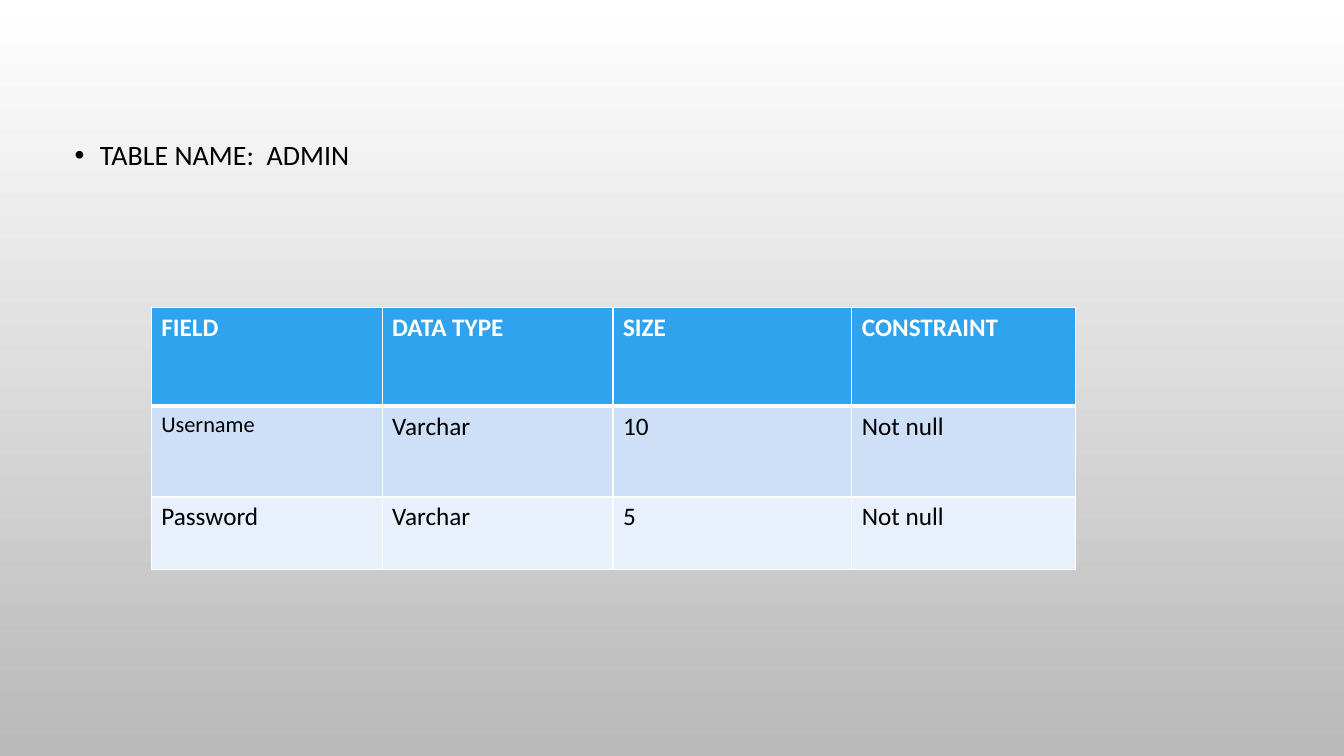
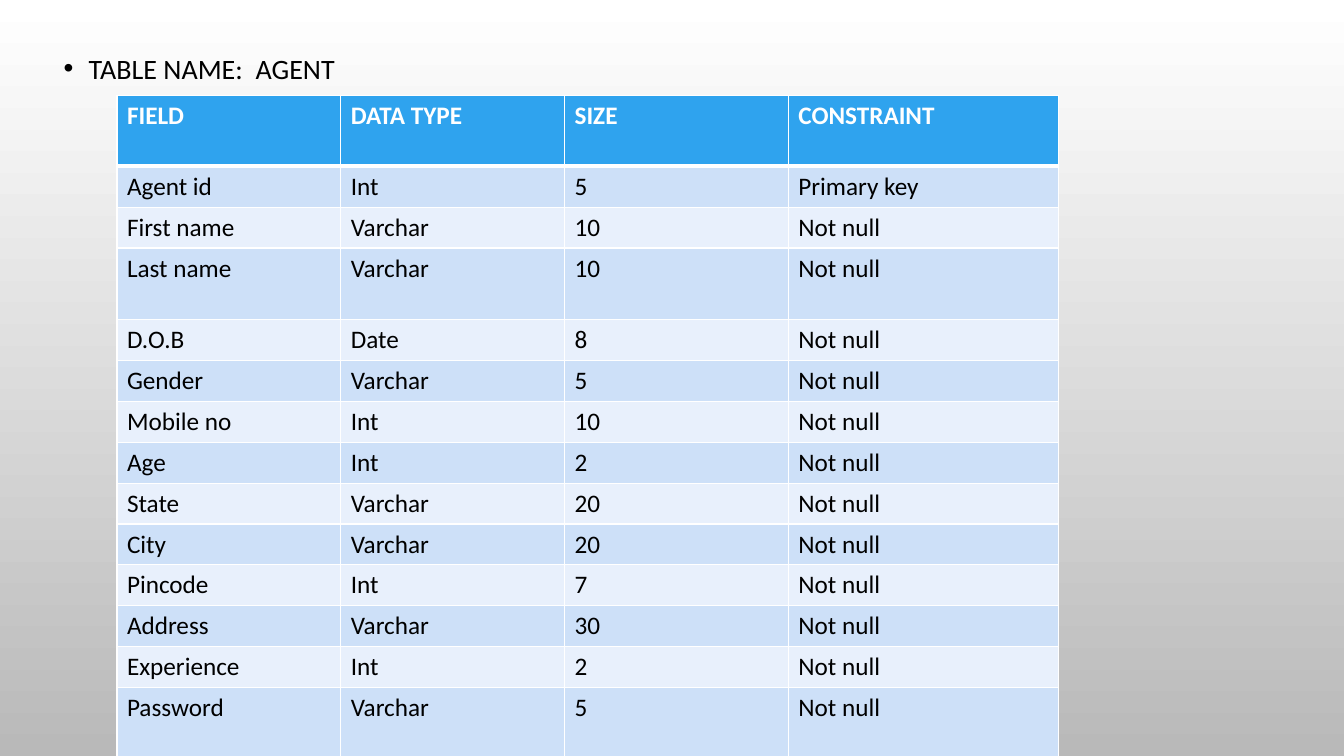
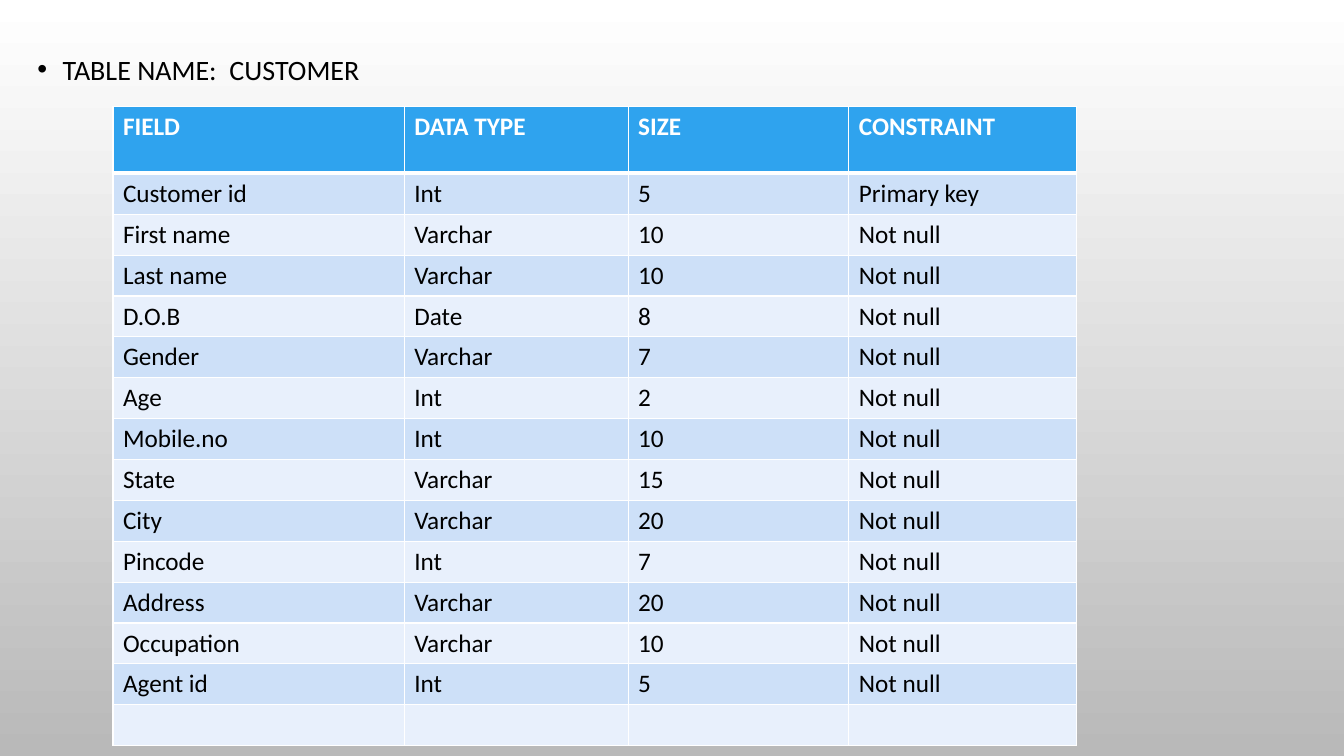
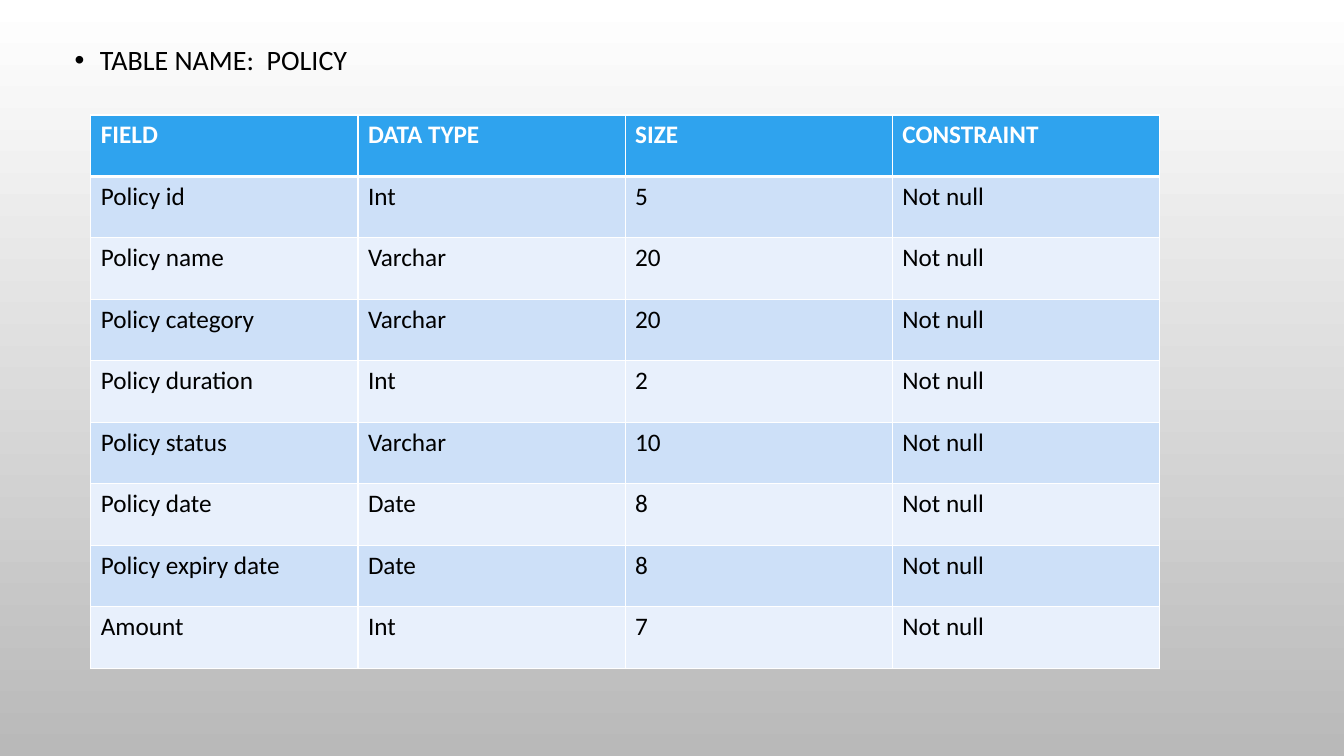
"""Build the slides that describe the database tables of an insurance system."""
from dataclasses import dataclass

from lxml.etree import SubElement
from pptx import Presentation
from pptx.dml.color import RGBColor
from pptx.enum.text import MSO_ANCHOR, MSO_AUTO_SIZE, PP_ALIGN
from pptx.oxml.ns import qn
from pptx.presentation import Presentation as Deck
from pptx.slide import Slide
from pptx.table import _Cell
from pptx.text.text import _Paragraph
from pptx.util import Inches, Pt


@dataclass(frozen=True)
class Theme:
    """Colours, font and sizes shared by all slides."""

    font: str = "Calibri"
    ink: str = "000000"
    white: str = "FFFFFF"
    back_end: str = "B9B9B9"
    header: str = "2FA3EE"
    bands: tuple[str, str] = ("CDE0F8", "E8F0FC")
    title_pt: int = 20
    cell_pt: int = 18
    small_pt: int = 16
    thin_pt: int = 1
    thick_pt: int = 3


THEME = Theme()
HEADINGS = ("FIELD", "DATA TYPE", "SIZE", "CONSTRAINT")
ROW_HEIGHT = 0.4


@dataclass(frozen=True)
class Field:
    """One row of a table description."""

    name: str
    kind: str
    size: str
    constraint: str = "Not null"
    height: float = ROW_HEIGHT
    name_pt: int = THEME.cell_pt

    @property
    def texts(self) -> tuple[str, ...]:
        """Return the cell texts from left to right."""
        return self.name, self.kind, self.size, self.constraint


@dataclass(frozen=True)
class TableSlide:
    """A heading and the table below it, with places in inches."""

    name: str
    title_at: tuple[float, float]
    table_at: tuple[float, float]
    columns: tuple[float, ...]
    header_height: float
    fields: tuple[Field, ...]


SLIDES = (
    TableSlide("ADMIN", (0.64, 1.25), (1.5, 3.05), (2.29, 2.29, 2.37, 2.22), 0.98, (
        Field("Username", "Varchar", "10", height=0.9, name_pt=THEME.small_pt),
        Field("Password", "Varchar", "5", height=0.72),
    )),
    TableSlide("AGENT", (0.53, 0.39), (1.16, 0.95), (2.22, 2.22, 2.22, 2.68), 0.7, (
        Field("Agent id", "Int", "5", "Primary key"),
        Field("First name", "Varchar", "10"),
        Field("Last name", "Varchar", "10", height=0.71),
        Field("D.O.B", "Date", "8"),
        Field("Gender", "Varchar", "5"),
        Field("Mobile no", "Int", "10"),
        Field("Age", "Int", "2"),
        Field("State", "Varchar", "20"),
        Field("City", "Varchar", "20"),
        Field("Pincode", "Int", "7"),
        Field("Address", "Varchar", "30"),
        Field("Experience", "Int", "2"),
        Field("Password", "Varchar", "5", height=0.69),
    )),
    TableSlide("CUSTOMER", (0.27, 0.4), (1.12, 1.06), (2.89, 2.22, 2.19, 2.26), 0.66, (
        Field("Customer id", "Int", "5", "Primary key"),
        Field("First name", "Varchar", "10"),
        Field("Last name", "Varchar", "10"),
        Field("D.O.B", "Date", "8"),
        Field("Gender", "Varchar", "7"),
        Field("Age", "Int", "2"),
        Field("Mobile.no", "Int", "10"),
        Field("State", "Varchar", "15"),
        Field("City", "Varchar", "20"),
        Field("Pincode", "Int", "7"),
        Field("Address", "Varchar", "20"),
        Field("Occupation", "Varchar", "10"),
        Field("Agent id", "Int", "5"),
        Field("", "", "", ""),
    )),
    TableSlide("POLICY", (0.64, 0.31), (0.9, 1.14), (2.65,) * 4, 0.61, (
        Field("Policy id", "Int", "5", height=0.61),
        Field("Policy name", "Varchar", "20", height=0.61),
        Field("Policy category", "Varchar", "20", height=0.61),
        Field("Policy duration", "Int", "2", height=0.61),
        Field("Policy status", "Varchar", "10", height=0.61),
        Field("Policy date", "Date", "8", height=0.61),
        Field("Policy expiry date", "Date", "8", height=0.61),
        Field("Amount", "Int", "7", height=0.61),
    )),
)


def rgb(code: str) -> RGBColor:
    """Turn a hex code into a colour."""
    return RGBColor.from_string(code)


def add_run(p: _Paragraph, text: str, size: int, color: str, bold: bool = False) -> None:
    """Append one formatted run to a paragraph."""
    r = p.add_run()
    r.text = text
    r.font.name = THEME.font
    r.font.size = Pt(size)
    r.font.bold = bold
    r.font.color.rgb = rgb(color)


def set_background(prs: Deck) -> None:
    """Give the master a gradient that darkens downwards."""
    fill = prs.slide_master.background.fill
    fill.gradient()
    fill.gradient_angle = 270
    for stop, position, color in zip(fill.gradient_stops, (0, 1), (THEME.white, THEME.back_end)):
        stop.position = position
        stop.color.rgb = rgb(color)


def add_bullet(p: _Paragraph) -> None:
    """Give a paragraph a round bullet with a hanging indent."""
    pPr = p._p.get_or_add_pPr()
    pPr.set("marL", str(Inches(0.25)))
    pPr.set("indent", str(Inches(-0.25)))
    color = SubElement(pPr, qn("a:buClr"))
    SubElement(color, qn("a:srgbClr"), val=THEME.ink)
    SubElement(pPr, qn("a:buFont"), typeface="Arial")
    SubElement(pPr, qn("a:buChar"), char="•")


def set_title(s: Slide, text: str, at: tuple[float, float]) -> None:
    """Place the title as a bulleted heading."""
    title = s.shapes.title
    title.left, title.top = map(Inches, at)
    title.width, title.height = Inches(12.06), Inches(0.5)
    tf = title.text_frame
    tf.word_wrap = True
    tf.auto_size = MSO_AUTO_SIZE.NONE
    tf.vertical_anchor = MSO_ANCHOR.TOP
    p = tf.paragraphs[0]
    add_bullet(p)
    p.alignment = PP_ALIGN.LEFT
    p.line_spacing = 1.2
    p.space_before = Pt(0)
    add_run(p, text, THEME.title_pt, THEME.ink)


def set_borders(cell: _Cell, top: int, bottom: int) -> None:
    """Draw white borders, thin at the sides."""
    tcPr = cell._tc.get_or_add_tcPr()
    widths = {"a:lnL": THEME.thin_pt, "a:lnR": THEME.thin_pt, "a:lnT": top, "a:lnB": bottom}
    for tag, width in widths.items():
        line = SubElement(tcPr, qn(tag), w=str(Pt(width)))
        fill = SubElement(line, qn("a:solidFill"))
        SubElement(fill, qn("a:srgbClr"), val=THEME.white)


def fill_cell(cell: _Cell, row: int, text: str, size: int) -> None:
    """Style a cell by its row and write its text."""
    is_header = row == 0
    top = THEME.thick_pt if row == 1 else THEME.thin_pt
    set_borders(cell, top, THEME.thick_pt if is_header else THEME.thin_pt)
    cell.fill.solid()
    cell.fill.fore_color.rgb = rgb(THEME.header if is_header else THEME.bands[(row - 1) % 2])
    if text:
        color = THEME.white if is_header else THEME.ink
        add_run(cell.text_frame.paragraphs[0], text, size, color, is_header)


def add_field_table(s: Slide, item: TableSlide) -> None:
    """Add the table of fields with its header row."""
    header = Field(*HEADINGS, height=item.header_height)
    rows = (header, *item.fields)
    width, height = sum(item.columns), sum(field.height for field in rows)
    table = s.shapes.add_table(
        len(rows), len(item.columns), *map(Inches, (*item.table_at, width, height))
    ).table
    for column, column_width in zip(table.columns, item.columns):
        column.width = Inches(column_width)
    for i, field in enumerate(rows):
        table.rows[i].height = Inches(field.height)
        for j, text in enumerate(field.texts):
            fill_cell(table.cell(i, j), i, text, THEME.cell_pt if j else field.name_pt)


def main() -> None:
    """Build and save the presentation."""
    prs = Presentation()
    prs.slide_width, prs.slide_height = Inches(13.33), Inches(7.5)
    set_background(prs)
    for item in SLIDES:
        s = prs.slides.add_slide(prs.slide_layouts[5])
        set_title(s, f"TABLE NAME:  {item.name}", item.title_at)
        add_field_table(s, item)
    prs.save("out.pptx")


if __name__ == "__main__":
    main()
